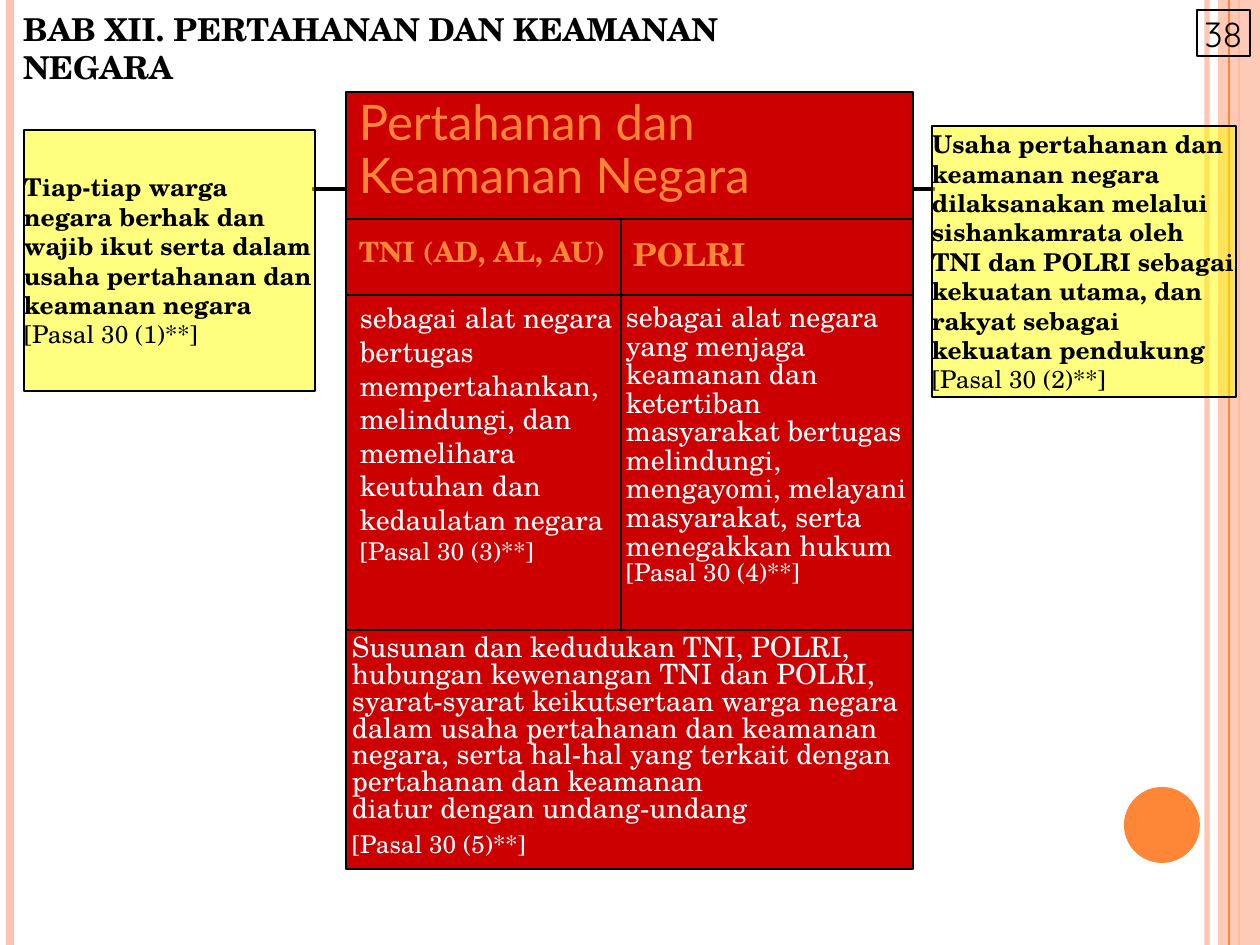
"""Builds the slide on Chapter XII, national defence and security."""
from lxml.etree import SubElement
from pptx import Presentation
from pptx.dml.color import RGBColor
from pptx.enum.shapes import MSO_CONNECTOR, MSO_SHAPE
from pptx.enum.text import MSO_ANCHOR, MSO_AUTO_SIZE, PP_ALIGN
from pptx.oxml.ns import qn
from pptx.util import Emu, Pt

COLORS = {"red": "CC0000", "orange": "FE8637", "peach": "FEC3AE",
          "yellow": "FFFF00", "white": "FFFFFF", "black": "000000"}
SCALE = 914400 / 126
SERIF = "TeX Gyre Schola"


def px(length):
    return Emu(round(length * SCALE))


def assign(target, values):
    for name, value in values.items():
        setattr(target, name, value)


class SlideBuilder:
    """Holds the text style and the current slide."""

    def __init__(self, slide):
        self.slide = slide
        self.font = {"name": SERIF, "size": Pt(16), "bold": False}

    def paint(self, fill, color, opacity=100):
        fill.solid()
        fill.fore_color.rgb = RGBColor.from_string(COLORS[color])
        if opacity < 100:
            for rgb in fill._xPr.iter(qn("a:srgbClr")):
                SubElement(rgb, qn("a:alpha"), val=str(opacity * 1000))

    def set_text(self, frame, paragraphs, color, insets, anchor=MSO_ANCHOR.TOP):
        left, top, right, bottom = map(px, insets)
        assign(frame, {"word_wrap": True, "auto_size": MSO_AUTO_SIZE.NONE,
                       "vertical_anchor": anchor, "margin_left": left,
                       "margin_top": top, "margin_right": right,
                       "margin_bottom": bottom})
        for index, (text, font, layout) in enumerate(paragraphs):
            paragraph = frame.add_paragraph() if index else frame.paragraphs[0]
            assign(paragraph, {"alignment": PP_ALIGN.LEFT, **layout})
            run = paragraph.add_run()
            run.text = text
            assign(run.font, {**self.font, **font})
            run.font.color.rgb = RGBColor.from_string(COLORS[color])

    def title(self, box, text):
        heading = self.slide.shapes.title
        assign(heading, dict(zip(("left", "top", "width", "height"), map(px, box))))
        self.set_text(heading.text_frame, [(text, {"size": Pt(18), "bold": True}, {})],
                      "black", (13, 6, 13, 6))

    def shape(self, box, fill=None, border=1.5, opacity=100, kind=MSO_SHAPE.RECTANGLE):
        shape = self.slide.shapes.add_shape(kind, *map(px, box))
        shape.shadow.inherit = False
        if fill:
            self.paint(shape.fill, fill, opacity)
        else:
            shape.fill.background()
        if border:
            self.paint(shape.line.fill, "black")
            shape.line.width = Pt(border)
        else:
            shape.line.fill.background()
        return shape

    def panel(self, box, paragraphs, color, insets):
        self.set_text(self.shape(box, "red").text_frame, paragraphs, color, insets)

    def note(self, box, duty, article):
        small = {"size": Pt(14)}
        self.set_text(self.shape(box, "yellow", opacity=50).text_frame,
                      [(duty, {**small, "bold": True}, {}), (article, small, {})],
                      "black", (0, 0, 0, 0), MSO_ANCHOR.MIDDLE)

    def page_number(self, box, number):
        self.set_text(self.shape(box, border=0.75).text_frame,
                      [(number, {"name": "Quicksand", "size": Pt(20)},
                        {"alignment": PP_ALIGN.CENTER})],
                      "black", (0, 0, 0, 0), MSO_ANCHOR.MIDDLE)

    def line(self, start, end, color, width, opacity=100):
        line = self.slide.shapes.add_connector(
            MSO_CONNECTOR.STRAIGHT, *map(px, start + end))
        self.paint(line.line.fill, color, opacity)
        line.line.width = Pt(width)
        SubElement(line._element.spPr, qn("a:effectLst"))


def main():
    deck = Presentation()
    deck.slide_width, deck.slide_height = px(1260), px(945)
    builder = SlideBuilder(deck.slides.add_slide(deck.slide_layouts[5]))

    def stripe(x, color, width, opacity=100):
        builder.line((x, 0), (x, 945), color, width, opacity)

    stripe(1207, "peach", 3, 93)
    stripe(10, "peach", 4.5)
    stripe(1239, "orange", 1.5)
    builder.shape((1218, 0, 42, 945), "peach", 0, 87)
    stripe(1229, "orange", 0.75)
    builder.shape((1124, 787, 76, 76), "orange", 0, kind=MSO_SHAPE.OVAL)

    builder.title((10, 4, 805, 88), "BAB XII. PERTAHANAN DAN KEAMANAN NEGARA")
    for start, end in ((312, 349), (893, 935)):
        builder.line((start, 189), (end, 189), "black", 2.25)

    left, middle, right = 346, 621, 913
    top, heads, duties, structure, bottom = 92, 219, 295, 630, 869
    article = {"size": Pt(14)}
    polri, tight = {"line_spacing": 0.85}, {"line_spacing": 0.8}

    builder.panel((middle, heads, right - middle, duties - heads),
                  [("POLRI", {"size": Pt(18), "bold": True}, {})],
                  "orange", (12, 16, 12, 16))
    builder.panel((middle, duties, right - middle, structure - duties), [
        ("sebagai alat negara yang menjaga keamanan dan ketertiban masyarakat "
         "bertugas melindungi, mengayomi, melayani masyarakat, serta "
         "menegakkan hukum", {}, polri),
        ("[Pasal 30 (4)**]", article, polri)], "white", (5, 10, 5, 0))
    builder.panel((left, heads, middle - left, duties - heads),
                  [("TNI (AD, AL, AU)", {"bold": True}, {})],
                  "orange", (13, 16, 13, 16))
    builder.panel((left, structure, right - left, bottom - structure), [
        ("Susunan dan kedudukan TNI, POLRI, hubungan kewenangan TNI dan POLRI, "
         "syarat-syarat keikutsertaan warga negara dalam usaha pertahanan dan "
         "keamanan negara, serta hal-hal yang terkait dengan pertahanan dan "
         "keamanan", {}, tight),
        ("diatur dengan undang-undang", {}, tight),
        ("[Pasal 30 (5)**]", article, {"space_before": Pt(3)})],
        "white", (6, 6, 6, 6))
    builder.panel((left, duties, middle - left, structure - duties), [
        ("sebagai alat negara bertugas mempertahankan, melindungi, dan "
         "memelihara keutuhan dan kedaulatan negara", {}, {}),
        ("[Pasal 30 (3)**]", article, {})], "white", (14, 6, 0, 0))

    builder.note((932, 126, 304, 271),
                 "Usaha pertahanan dan keamanan negara dilaksanakan melalui "
                 "sishankamrata oleh TNI dan POLRI sebagai kekuatan utama, dan "
                 "rakyat sebagai kekuatan pendukung", "[Pasal 30 (2)**]")
    builder.note((24, 130, 291, 261),
                 "Tiap-tiap warga negara berhak dan wajib ikut serta dalam usaha "
                 "pertahanan dan keamanan negara", "[Pasal 30 (1)**]")
    builder.page_number((1197, 10, 53, 46), "38")
    builder.panel((left, top, right - left, heads - top),
                  [("Pertahanan dan Keamanan Negara",
                    {"name": "Lato", "size": Pt(28)}, {"line_spacing": 0.9})],
                  "orange", (13, 6, 13, 6))
    deck.save("out.pptx")


if __name__ == "__main__":
    main()
